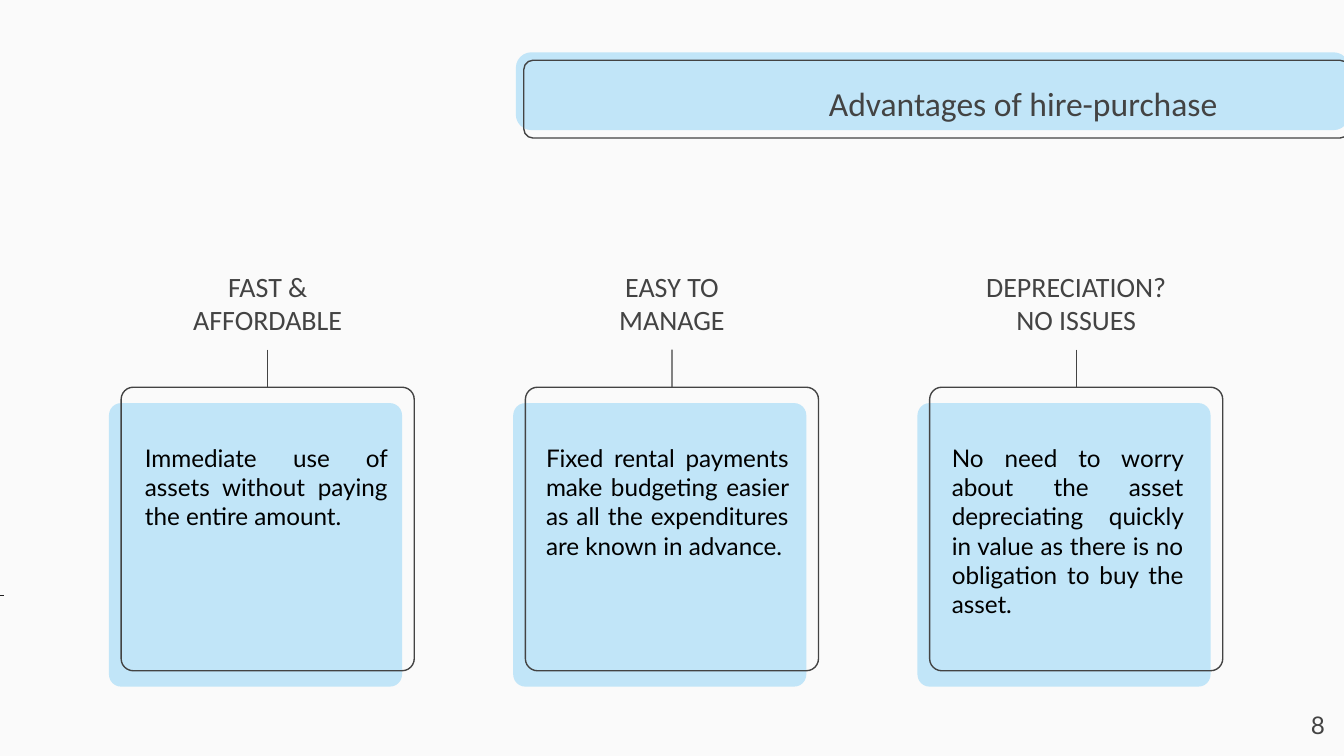
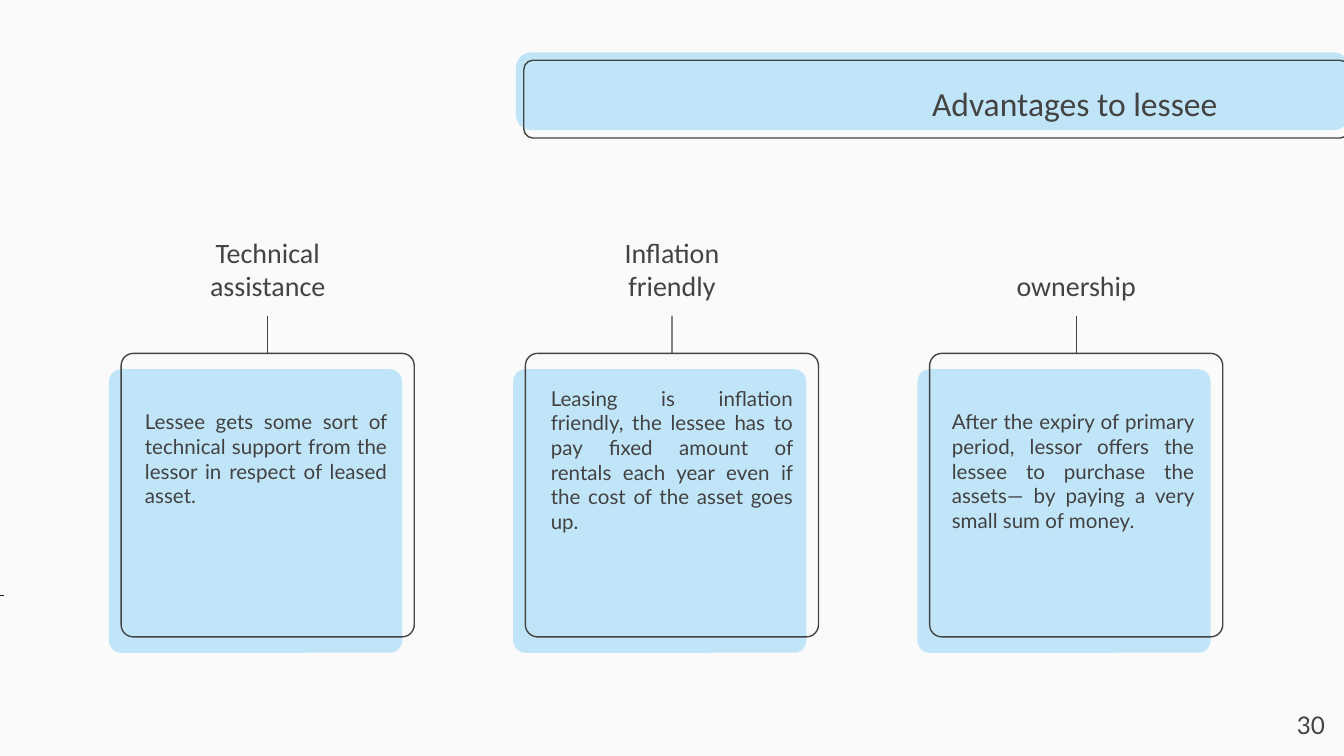
import pptx
import pptx.util
import pptx.dml.color
import pptx.enum.shapes
import pptx.enum.text
import pptx.oxml.ns
import lxml.etree

Cm = pptx.util.Cm
Pt = pptx.util.Pt
RGBColor = pptx.dml.color.RGBColor
ALIGN = pptx.enum.text.PP_ALIGN
ANCHOR = pptx.enum.text.MSO_ANCHOR

PAPER = RGBColor(0xFA, 0xFA, 0xFA)
SKY = RGBColor(0xC1, 0xE5, 0xF8)
INK = RGBColor(0x43, 0x43, 0x43)
SOFT_INK = RGBColor(0x42, 0x41, 0x42)
BLACK = RGBColor(0, 0, 0)
TICK = RGBColor(0x1F, 0x1F, 0x1F)

HEAD_FONT = "Calibri"
BODY_FONT = "Lato"

# Card grid, in cm
CARD_LEFT, CARD_PITCH = 2.06, 7.64
CARD_W, CARD_H = 5.54, 5.36
HEAD_W, HEAD_H = 3.96, 2.21
STEM = 0.71


def add_panel(slide, x, y, w, h, radius, fill=None):
    """Rounded panel: filled without a line, or outlined without a fill."""
    sp = slide.shapes.add_shape(
        pptx.enum.shapes.MSO_SHAPE.ROUNDED_RECTANGLE, Cm(x), Cm(y), Cm(w), Cm(h))
    sp.shadow.inherit = False
    sp.adjustments[0] = radius
    if fill is None:
        sp.fill.background()
        sp.line.color.rgb = INK
        sp.line.width = Pt(0.75)
    else:
        sp.fill.solid()
        sp.fill.fore_color.rgb = fill
        sp.line.fill.background()
    return sp


def add_text(slide, x, y, w, h, text, size, font, color, align, anchor=ANCHOR.TOP):
    sp = slide.shapes.add_textbox(Cm(x), Cm(y), Cm(w), Cm(h))
    tf = sp.text_frame
    tf.word_wrap = True
    tf.vertical_anchor = anchor
    tf.margin_left = tf.margin_right = tf.margin_top = tf.margin_bottom = Cm(0.25)
    tf.text = text
    for p in tf.paragraphs:
        p.alignment = align
        for r in p.runs:
            r.font.size = Pt(size)
            r.font.name = font
            r.font.color.rgb = color
    return sp


def add_line(slide, x1, y1, x2, y2, color, width):
    sp = slide.shapes.add_connector(
        pptx.enum.shapes.MSO_CONNECTOR.STRAIGHT, Cm(x1), Cm(y1), Cm(x2), Cm(y2))
    sp.line.color.rgb = color
    sp.line.width = Pt(width)
    lxml.etree.SubElement(sp._element.spPr, pptx.oxml.ns.qn("a:effectLst"))
    return sp


def add_title_band(slide, x, y, title):
    add_panel(slide, x, y, 15.75, 1.47, 0.199, SKY)
    add_panel(slide, x + 0.15, y + 0.15, 15.6, 1.47, 0.119)
    add_text(slide, x + 4.65, y + 0.28, 8.86, 1.35, title, 18, HEAD_FONT, INK,
             ALIGN.RIGHT, ANCHOR.MIDDLE)


def add_card(slide, x, y, heading, body, size, color, dx, dy, body_w):
    """Card whose outline starts at height y, with its heading and stem above."""
    # Panels
    add_panel(slide, x, y + 0.3, CARD_W, CARD_H, 0.043, SKY)
    frame = add_panel(slide, x + 0.23, y, CARD_W, CARD_H, 0.043)
    # Heading, joined to the outline by the stem
    head_x, head_y = x + 1.02, y - STEM - HEAD_H
    head = add_text(slide, head_x, head_y, HEAD_W, HEAD_H, heading, 15, HEAD_FONT,
                    INK, ALIGN.CENTER, ANCHOR.BOTTOM)
    mid = head_x + HEAD_W / 2
    stem = add_line(slide, mid, y - STEM, mid, y, INK, 0.75)
    stem.begin_connect(head, 2)
    stem.end_connect(frame, 0)
    # Body
    add_text(slide, x + dx, y + dy, body_w, 4.65, body, size, BODY_FONT, color,
             ALIGN.JUSTIFY)


def add_footer(slide, number):
    add_line(slide, 0, 11.25, 0.08, 11.25, TICK, 0.3)
    add_text(slide, 23.77, 13.18, 1.52, 1.09, number, 13, BODY_FONT, INK, ALIGN.RIGHT)


def add_cards_slide(prs, title, number, top, size, color, cards):
    slide = prs.slides.add_slide(prs.slide_layouts[6])
    add_title_band(slide, 9.75, 0.99, title)
    for i, (heading, body, dx, dy, body_w) in enumerate(cards):
        add_card(slide, CARD_LEFT + i * CARD_PITCH, top, heading, body, size, color,
                 dx, dy, body_w)
    add_footer(slide, number)


# Each card: heading, body, body offset from the card, body width
HIRE_PURCHASE = [
    ("FAST & AFFORDABLE",
     "Immediate use of assets without paying the entire amount.", 0.43, 0.81, 5.08),
    ("EASY TO MANAGE",
     "Fixed rental payments make budgeting easier as all the expenditures are "
     "known in advance.", 0.37, 0.81, 5.08),
    ("DEPRECIATION?\nNO ISSUES",
     "No need to worry about the asset depreciating quickly in value as there is "
     "no obligation to buy the asset.", 0.4, 0.81, 4.87),
]
LESSEE = [
    ("Technical assistance",
     "Lessee gets some sort of technical support from the lessor in respect of "
     "leased asset.", 0.43, 0.81, 5.08),
    ("Inflation friendly",
     "Leasing is inflation friendly, the lessee has to pay fixed amount of rentals "
     "each year even if the cost of the asset goes up.", 0.46, 0.36, 5.08),
    ("ownership",
     "After the expiry of primary period, lessor offers the lessee to purchase the "
     "assets— by paying a very small sum of money.", 0.4, 0.81, 5.08),
]


def main():
    prs = pptx.Presentation()
    prs.slide_width, prs.slide_height = Cm(25.4), Cm(14.29)
    bg = prs.slide_master.background.fill
    bg.solid()
    bg.fore_color.rgb = PAPER
    add_cards_slide(prs, "Advantages of hire-purchase", "8", 7.32, 13, BLACK,
                    HIRE_PURCHASE)
    add_cards_slide(prs, "Advantages to lessee", "30", 6.68, 11, SOFT_INK, LESSEE)
    prs.save("out.pptx")


if __name__ == "__main__":
    main()
